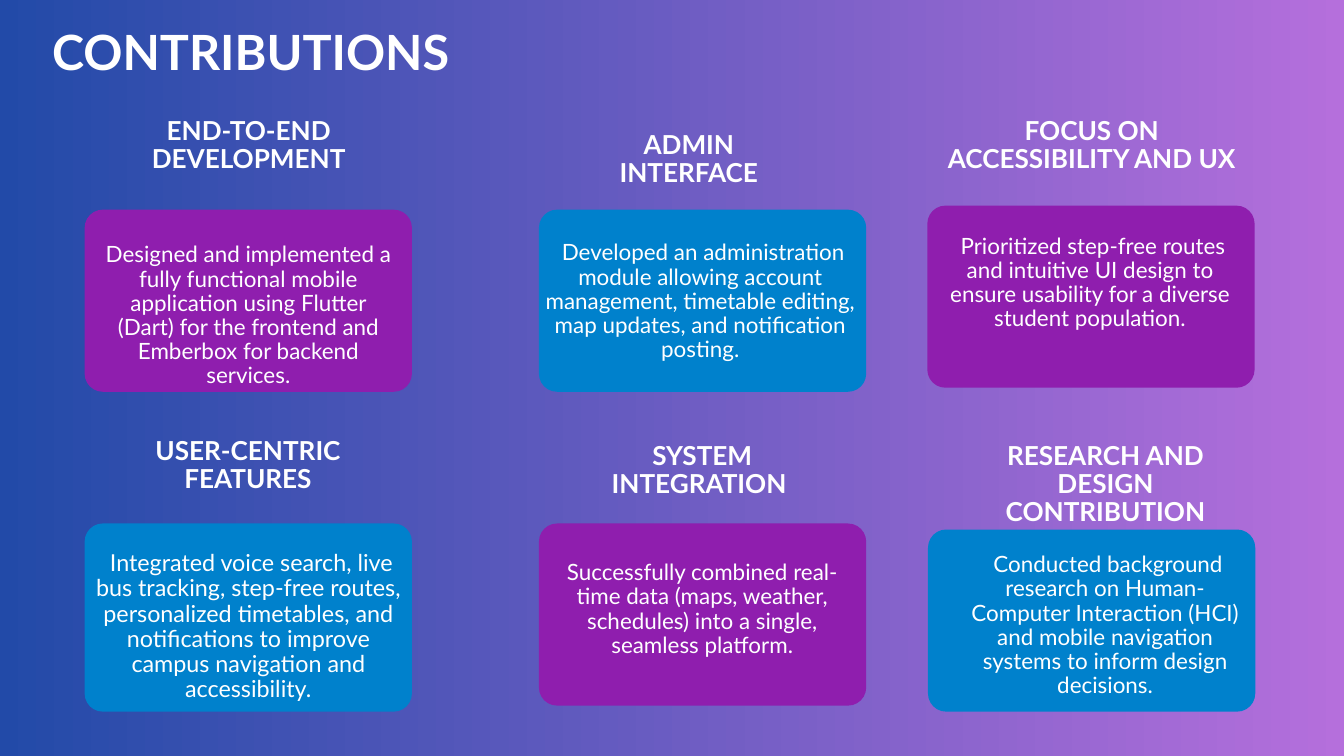
from pptx import Presentation
from pptx.dml.color import RGBColor
from pptx.enum.shapes import MSO_SHAPE
from pptx.enum.text import MSO_AUTO_SIZE, PP_ALIGN
from pptx.util import Inches, Pt

WHITE, BLUE, PLUM = "FFFFFF", "0081CC", "8F1EAE"
WIDE, ROUND = 4.87, 0.27

CARDS = [
    (1.26, 3.12, 2.71, PLUM,
     ("END-TO-END DEVELOPMENT", 0.79, -1.37, 3.3, 0.88),
     ("Designed and implemented a fully functional mobile application using "
      "Flutter (Dart) for the frontend and Emberbox for backend services.",
      0.28, 0.5, 4.31, 1.81, 24, 25.9)),
    (8.02, 3.12, 2.71, BLUE,
     ("ADMIN INTERFACE", 0.71, -1.16, 3.04, 0.46),
     (" Developed an administration module allowing account management, "
      "timetable editing, map updates, and notification posting.",
      0, 0.47, 4.8, 1.81, 24, 25.9)),
    (13.8, 3.06, 2.71, PLUM,
     ("FOCUS ON ACCESSIBILITY AND UX", 0.3, -1.31, 4.29, 0.88),
     (" Prioritized step-free routes and intuitive UI design to ensure "
      "usability for a diverse student population.",
      0.25, 0.43, 4.34, 1.46, 24, 25.9)),
    (1.26, 7.79, 2.8, BLUE,
     ("USER-CENTRIC FEATURES", 0.68, -1.28, 3.5, 0.88),
     (" Integrated voice search, live bus tracking, step-free routes, "
      "personalized timetables, and notifications to improve campus "
      "navigation and accessibility.",
      0.09, 0.41, 4.69, 1.92, 25, 27)),
    (8.02, 7.79, 2.71, PLUM,
     ("SYSTEM INTEGRATION ", 0.54, -1.21, 3.78, 0.46),
     ("Successfully combined real-time data (maps, weather, schedules) into "
      "a single, seamless platform.",
      0.15, 0.56, 4.56, 1.1, 24, 25.9)),
    (13.81, 7.88, 2.71, BLUE,
     ("RESEARCH AND DESIGN CONTRIBUTION", 0.44, -1.3, 4.4, 0.88),
     (" Conducted background research on Human-Computer Interaction (HCI) "
      "and mobile navigation systems to inform design decisions.",
      0.52, 0.35, 4.23, 1.81, 24, 25.9)),
]


def paint(color, code):
    color.rgb = RGBColor.from_string(code)


def write(slide, words, x, y, w, h, size, lead, bold=False):
    box = slide.shapes.add_textbox(Inches(x), Inches(y), Inches(w), Inches(h))
    frame = box.text_frame
    frame.word_wrap = True
    frame.auto_size = MSO_AUTO_SIZE.SHAPE_TO_FIT_TEXT
    frame.margin_left = frame.margin_right = 0
    frame.margin_top = frame.margin_bottom = 0
    para = frame.paragraphs[0]
    para.alignment = PP_ALIGN.CENTER
    para.line_spacing = Pt(lead)
    run = para.add_run()
    run.text = words
    run.font.name = "Lato"
    run.font.size = Pt(size)
    run.font.bold = bold
    paint(run.font.color, WHITE)


def card(slide, x, y, h, code, head, body):
    panel = slide.shapes.add_shape(
        MSO_SHAPE.ROUNDED_RECTANGLE,
        Inches(x), Inches(y), Inches(WIDE), Inches(h))
    panel.adjustments[0] = ROUND / h
    panel.shadow.inherit = False
    panel.fill.solid()
    paint(panel.fill.fore_color, code)
    panel.line.fill.background()
    words, dx, dy, w, tall = head
    write(slide, words, x + dx, y + dy, w, tall, 28, 30.2, True)
    words, dx, dy, w, tall, size, lead = body
    write(slide, words, x + dx, y + dy, w, tall, size, lead)


def backdrop(slide):
    fill = slide.background.fill
    fill.gradient()
    fill.gradient_angle = 0
    for stop, spot, code in zip(fill.gradient_stops, (0, 1), ("224AA8", "B56FDC")):
        stop.position = spot
        paint(stop.color, code)


def main():
    deck = Presentation()
    deck.slide_width, deck.slide_height = Inches(20), Inches(11.25)
    slide = deck.slides.add_slide(deck.slide_layouts[6])
    backdrop(slide)
    write(slide, "CONTRIBUTIONS", 0.57, 0.18, 6.32, 1.03, 52, 72.8, True)
    for item in CARDS:
        card(slide, *item)
    deck.save("out.pptx")


if __name__ == "__main__":
    main()
